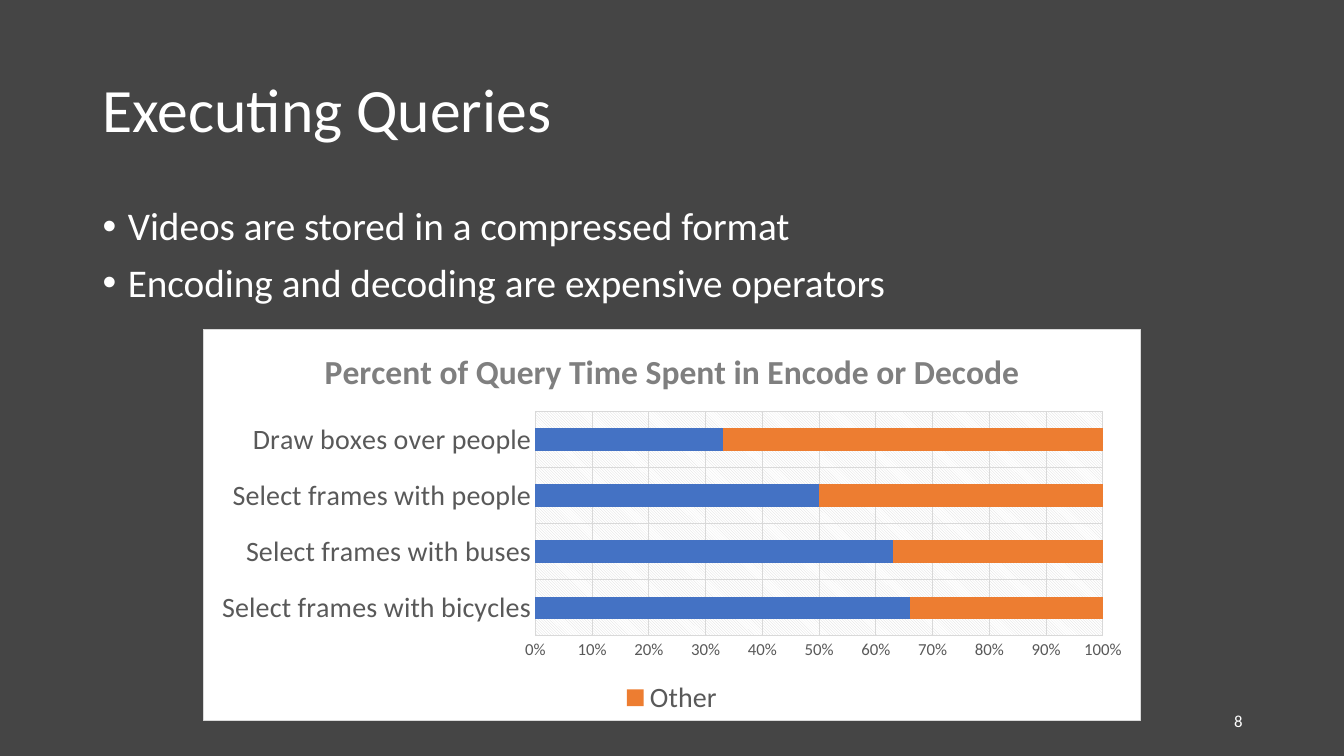
from lxml import etree
from pptx import Presentation
from pptx import util as u
from pptx.chart.data import CategoryChartData
from pptx.dml.color import RGBColor
from pptx.enum import chart as ch, text
from pptx.oxml import parse_xml
from pptx.oxml.ns import nsdecls, qn

WIDTH, HEIGHT = u.Inches(13.33), u.Inches(7.5)
FONT = "Calibri"
COLORS = {
    "background": "454545", "white": "FFFFFF", "label": "595959",
    "heading": "7F7F7F", "grid": "D9D9D9", "codec": "4472C4", "other": "ED7D31",
}
BULLETS = ["Videos are stored in a compressed format",
           "Encoding and decoding are expensive operators"]
QUERIES = ["Select frames with bicycles", "Select frames with buses",
           "Select frames with people", "Draw boxes over people"]
SERIES = [("Encode and decode", "codec", [66, 63, 50, 33]),
          ("Other", "other", [34, 37, 50, 67])]


def rgb(name):
    return RGBColor.from_string(COLORS[name])


def box(left, top, width, height):
    return (int(WIDTH * left), int(HEIGHT * top),
            int(WIDTH * width), int(HEIGHT * height))


def style_font(font, size, color, bold=False):
    font.name = FONT
    font.size = u.Pt(size)
    font.bold = bold
    font.color.rgb = rgb(color)


def style_line(line):
    line.color.rgb = rgb("grid")
    line.width = u.Pt(0.75)


def add_title(slide, title, area):
    sp = slide.shapes.title
    sp.left, sp.top, sp.width, sp.height = area
    tf = sp.text_frame
    tf.text = title
    tf.vertical_anchor = text.MSO_ANCHOR.MIDDLE
    p = tf.paragraphs[0]
    p.alignment = text.PP_ALIGN.LEFT
    p.line_spacing = 0.9
    style_font(p.runs[0].font, 44, "white")


def add_bullets(slide, items, area):
    tf = slide.shapes.add_textbox(*area).text_frame
    tf.word_wrap = True
    for i, item in enumerate(items):
        p = tf.add_paragraph() if i else tf.paragraphs[0]
        p.text = item
        p.line_spacing = 0.9
        if i:
            p.space_before = u.Pt(10)
        pPr = p._p.get_or_add_pPr()
        pPr.set("marL", str(u.Inches(0.25)))
        pPr.set("indent", str(-u.Inches(0.25)))
        etree.SubElement(pPr, qn("a:buFont"), typeface="Arial")
        etree.SubElement(pPr, qn("a:buChar"), char="•")
        style_font(p.runs[0].font, 28, "white")


def add_page_number(slide, number, area):
    tf = slide.shapes.add_textbox(*area).text_frame
    tf.word_wrap = True
    tf.vertical_anchor = text.MSO_ANCHOR.MIDDLE
    tf.text = number
    p = tf.paragraphs[0]
    p.alignment = text.PP_ALIGN.RIGHT
    style_font(p.runs[0].font, 12, "white")


def style_axis(axis, size):
    axis.has_major_gridlines = True
    axis.major_tick_mark = axis.minor_tick_mark = ch.XL_TICK_MARK.NONE
    style_font(axis.tick_labels.font, size, "label")
    style_line(axis.format.line)
    style_line(axis.major_gridlines.format.line)


def style_chart_areas(chart):
    space = chart._chartSpace
    space.chart.addnext(parse_xml(
        f'<c:spPr {nsdecls("c", "a")}>'
        f'<a:solidFill><a:srgbClr val="{COLORS["white"]}"/></a:solidFill>'
        f'<a:ln w="{u.Pt(0.75)}"><a:solidFill><a:srgbClr val="{COLORS["grid"]}"/>'
        '</a:solidFill></a:ln></c:spPr>'))
    space.chart.plotArea.append(parse_xml(
        f'<c:spPr {nsdecls("c", "a")}><a:pattFill prst="ltDnDiag">'
        f'<a:fgClr><a:srgbClr val="{COLORS["grid"]}"/></a:fgClr>'
        f'<a:bgClr><a:srgbClr val="{COLORS["white"]}"/></a:bgClr>'
        '</a:pattFill><a:ln><a:noFill/></a:ln></c:spPr>'))


def add_legend(chart, hidden):
    chart.has_legend = True
    legend = chart.legend
    legend.position = ch.XL_LEGEND_POSITION.BOTTOM
    legend.include_in_layout = False
    style_font(legend.font, 20, "label")
    legend._element.find(qn("c:legendPos")).addnext(parse_xml(
        f'<c:legendEntry {nsdecls("c")}><c:idx val="{hidden}"/>'
        '<c:delete val="1"/></c:legendEntry>'))


def add_time_chart(slide, title, area):
    data = CategoryChartData(number_format="0")
    data.categories = QUERIES
    for name, _, values in SERIES:
        data.add_series(name, values)
    chart = slide.shapes.add_chart(
        ch.XL_CHART_TYPE.BAR_STACKED_100, *area, data).chart
    style_font(chart.font, 10, "white")
    chart.has_title = True
    tf = chart.chart_title.text_frame
    tf.text = title
    style_font(tf.paragraphs[0].runs[0].font, 24, "heading", bold=True)
    chart.chart_title.include_in_layout = False
    plot = chart.plots[0]
    plot.gap_width, plot.overlap = 150, 100
    plot.vary_by_categories = False
    for series, (_, color, _) in zip(plot.series, SERIES):
        series.format.fill.solid()
        series.format.fill.fore_color.rgb = rgb(color)
    style_axis(chart.category_axis, 20)
    style_axis(chart.value_axis, 12)
    labels = chart.value_axis.tick_labels
    labels.number_format = "0%"
    labels.number_format_is_linked = False
    add_legend(chart, hidden=1)
    style_chart_areas(chart)


def main():
    prs = Presentation()
    prs.slide_width, prs.slide_height = WIDTH, HEIGHT
    slide = prs.slides.add_slide(prs.slide_layouts[5])
    slide.background.fill.solid()
    slide.background.fill.fore_color.rgb = rgb("background")
    add_title(slide, "Executing Queries", box(0.069, 0.053, 0.863, 0.193))
    add_page_number(slide, "8", box(0.707, 0.927, 0.225, 0.053))
    add_bullets(slide, BULLETS, box(0.069, 0.267, 0.863, 0.635))
    add_time_chart(slide, "Percent of Query Time Spent in Encode or Decode",
                   box(0.151, 0.435, 0.698, 0.519))
    prs.save("out.pptx")


if __name__ == "__main__":
    main()
